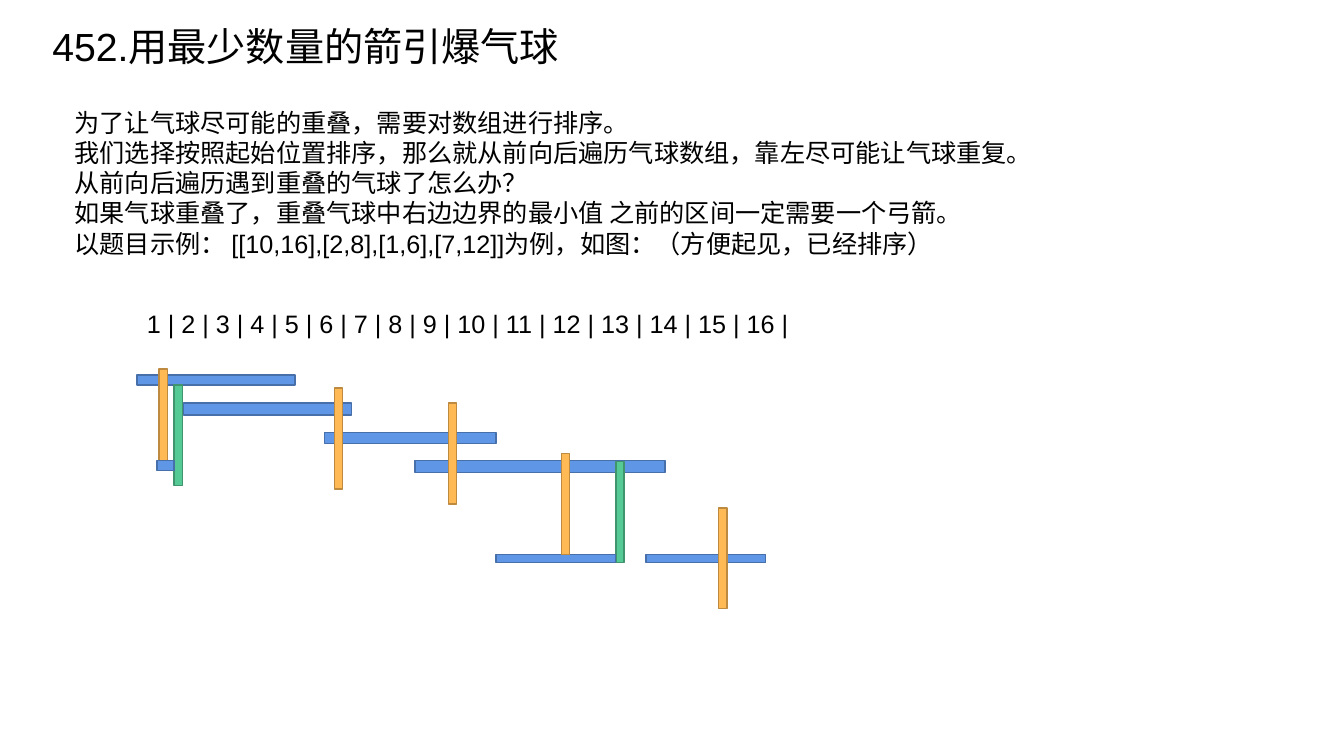
from pptx import Presentation
from pptx.dml.color import RGBColor
from pptx.enum.shapes import MSO_SHAPE as Shape
from pptx.enum.text import MSO_AUTO_SIZE as AutoSize
from pptx.util import Cm, Pt

BLACK = RGBColor(0x00, 0x00, 0x00)
BLUE, BLUE_EDGE = RGBColor(0x60, 0x96, 0xE6), RGBColor(0x47, 0x6F, 0xAA)
ORANGE, ORANGE_EDGE = RGBColor(0xFF, 0xBA, 0x55), RGBColor(0xBD, 0x8A, 0x3F)
GREEN, GREEN_EDGE = RGBColor(0x56, 0xCA, 0x95), RGBColor(0x40, 0x95, 0x6E)

deck = Presentation()
deck.slide_width, deck.slide_height = Cm(33.87), Cm(19.05)
slide = deck.slides.add_slide(deck.slide_layouts[6])


def add_text(lines, left, top, width, height, size=18, font="Arial", color=BLACK):
    box = slide.shapes.add_textbox(Cm(left), Cm(top), Cm(width), Cm(height))
    frame = box.text_frame
    frame.word_wrap = True
    frame.auto_size = AutoSize.SHAPE_TO_FIT_TEXT
    for number, line in enumerate(lines):
        paragraph = frame.add_paragraph() if number else frame.paragraphs[0]
        run = paragraph.add_run()
        run.text = line
        run.font.size = Pt(size)
        run.font.name = font
        run.font.color.rgb = color


def add_bar(left, top, width, height, fill, edge):
    bar = slide.shapes.add_shape(Shape.RECTANGLE, Cm(left), Cm(top), Cm(width), Cm(height))
    bar.shadow.inherit = False
    bar.fill.solid()
    bar.fill.fore_color.rgb = fill
    bar.line.color.rgb = edge
    bar.line.width = Pt(1)


# Title and explanation
add_text(["452.用最少数量的箭引爆气球"], 1.07, 0.43, 17.27, 1.45, size=28)
add_text([
    "为了让气球尽可能的重叠，需要对数组进行排序。",
    "我们选择按照起始位置排序，那么就从前向后遍历气球数组，靠左尽可能让气球重复。",
    "从前向后遍历遇到重叠的气球了怎么办？",
    "如果气球重叠了，重叠气球中右边边界的最小值 之前的区间一定需要一个弓箭。",
    "以题目示例： [[10,16],[2,8],[1,6],[7,12]]为例，如图：（方便起见，已经排序）",
], 1.63, 2.57, 27.25, 4.09)

# Number scale from 1 to 16
scale = " ".join(f"{number} |" for number in range(1, 17))
add_text([scale], 3.45, 7.65, 20.47, 1.02)

# Balloons: left, top, width, height
balloons = [
    (3.45, 9.45, 3.99, 0.25),
    (4.62, 10.16, 4.24, 0.3),
    (8.18, 10.9, 4.32, 0.28),
    (10.46, 11.61, 6.3, 0.3),
]
for balloon in balloons:
    add_bar(*balloon, BLUE, BLUE_EDGE)

# Right limits of the overlaps
arrow_width, arrow_height = 0.21, 2.54
for left, top in [(4.39, 9.7), (15.52, 11.63)]:
    add_bar(left, top, arrow_width, arrow_height, GREEN, GREEN_EDGE)

# Lower intervals
for left in (12.5, 16.28):
    add_bar(left, 13.97, 3.02, 0.2, BLUE, BLUE_EDGE)

# Arrows
for left, top in [(4.01, 9.3), (8.43, 9.78), (11.3, 10.16), (14.15, 11.43), (18.11, 12.8)]:
    add_bar(left, top, arrow_width, arrow_height, ORANGE, ORANGE_EDGE)

# Short interval between the first arrow and its limit
add_bar(3.96, 11.61, 0.43, 0.25, BLUE, BLUE_EDGE)

deck.save("out.pptx")
